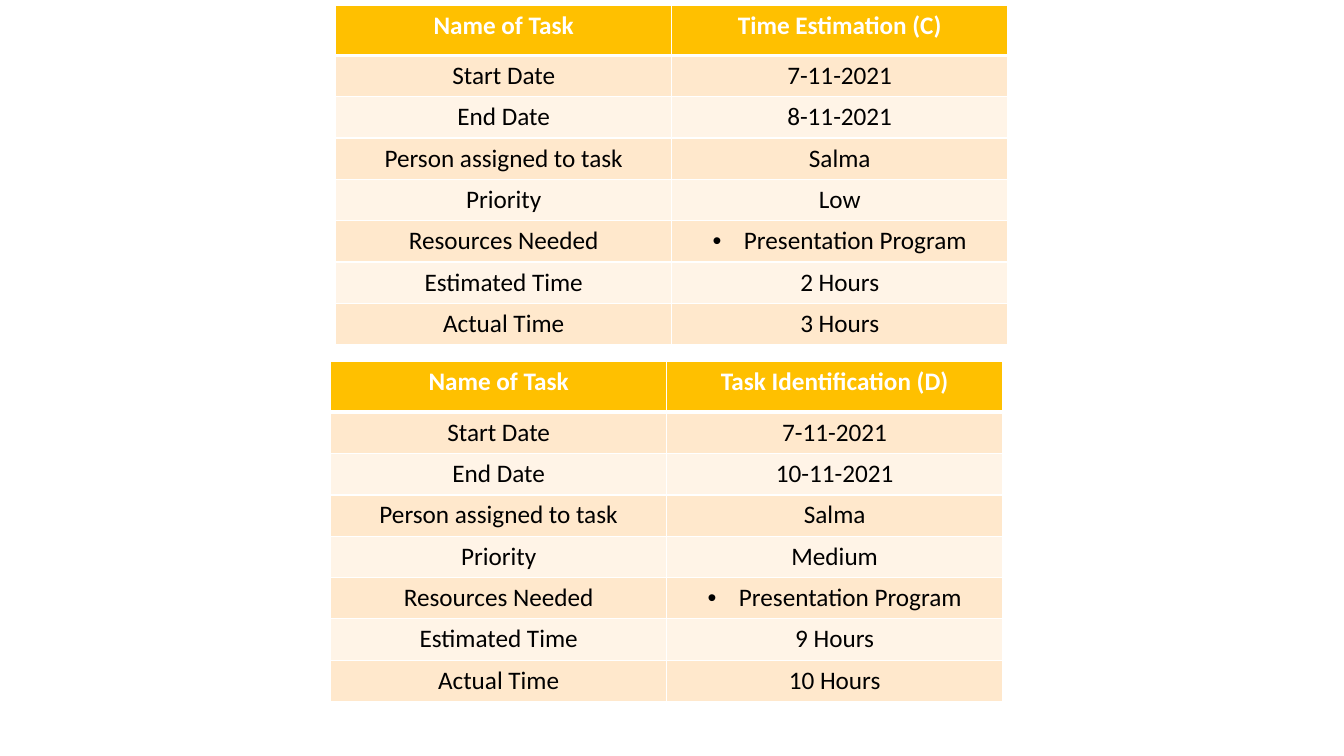
import pptx
import pptx.util
import pptx.dml.color
import pptx.enum.text
import pptx.oxml.ns
import lxml.etree

RGB = pptx.dml.color.RGBColor
Inches, Pt = pptx.util.Inches, pptx.util.Pt
qn = pptx.oxml.ns.qn

# Content
LABELS = ["Name of Task", "Start Date", "End Date", "Person assigned to task",
          "Priority", "Resources Needed", "Estimated Time", "Actual Time"]
TASKS = [
    ["Time Estimation (C)", "7-11-2021", "8-11-2021", "Salma",
     "Low", "Presentation Program", "2 Hours", "3 Hours"],
    ["Task Identification (D)", "7-11-2021", "10-11-2021", "Salma",
     "Medium", "Presentation Program", "9 Hours", "10 Hours"],
]
LISTED = "Resources Needed"

# Colours
GOLD = RGB(0xFF, 0xC0, 0x00)
PEACH = RGB(0xFF, 0xE8, 0xCC)
CREAM = RGB(0xFF, 0xF4, 0xE7)
WHITE = RGB(0xFF, 0xFF, 0xFF)
BLACK = RGB(0x00, 0x00, 0x00)

# Layout: each table is half the slide wide, in two equal columns
WIDE, HIGH = 13.33, 7.5
COL = WIDE / 4
HEAD, ROW = 0.5, 0.41
SPOTS = [(3.33, 0.05), (3.28, 3.59)]
INDENT = 0.31


def edge(cell, side, width):
    """Draw one white border of a cell."""
    line = lxml.etree.SubElement(cell._tc.get_or_add_tcPr(), qn("a:ln" + side),
                                 w=str(Pt(width)))
    fill = lxml.etree.SubElement(line, qn("a:solidFill"))
    lxml.etree.SubElement(fill, qn("a:srgbClr"), val=str(WHITE))


def bullet(para):
    """Give a paragraph a hanging bullet."""
    props = para._p.get_or_add_pPr()
    props.set("marL", str(Inches(INDENT)))
    props.set("indent", str(-Inches(INDENT)))
    lxml.etree.SubElement(props, qn("a:buFont"), typeface="Arial")
    lxml.etree.SubElement(props, qn("a:buChar"), char="•")


def fill_cell(cell, text, row):
    """Style one cell by its row and write its text."""
    head = row == 0
    for side in "LRTB":
        edge(cell, side, 3 if head and side == "B" else 1)
    cell.fill.solid()
    cell.fill.fore_color.rgb = GOLD if head else PEACH if row % 2 else CREAM
    para = cell.text_frame.paragraphs[0]
    para.alignment = pptx.enum.text.PP_ALIGN.CENTER
    run = para.add_run()
    run.text = text
    run.font.name = "Calibri"
    run.font.size = Pt(18)
    run.font.bold = head
    run.font.color.rgb = WHITE if head else BLACK
    return para


def add_task(slide, spot, values):
    """Build the table of one task."""
    count = len(LABELS)
    left, top = spot
    frame = slide.shapes.add_table(
        count, 2, Inches(left), Inches(top),
        Inches(2 * COL), Inches(HEAD + ROW * (count - 1)))
    table = frame.table
    for col in table.columns:
        col.width = Inches(COL)
    for row, (label, value) in enumerate(zip(LABELS, values)):
        table.rows[row].height = Inches(ROW if row else HEAD)
        fill_cell(table.cell(row, 0), label, row)
        para = fill_cell(table.cell(row, 1), value, row)
        if label == LISTED:
            bullet(para)


def main():
    deck = pptx.Presentation()
    deck.slide_width, deck.slide_height = Inches(WIDE), Inches(HIGH)
    slide = deck.slides.add_slide(deck.slide_layouts[6])
    for spot, values in zip(SPOTS, TASKS):
        add_task(slide, spot, values)
    deck.save("out.pptx")


if __name__ == "__main__":
    main()
